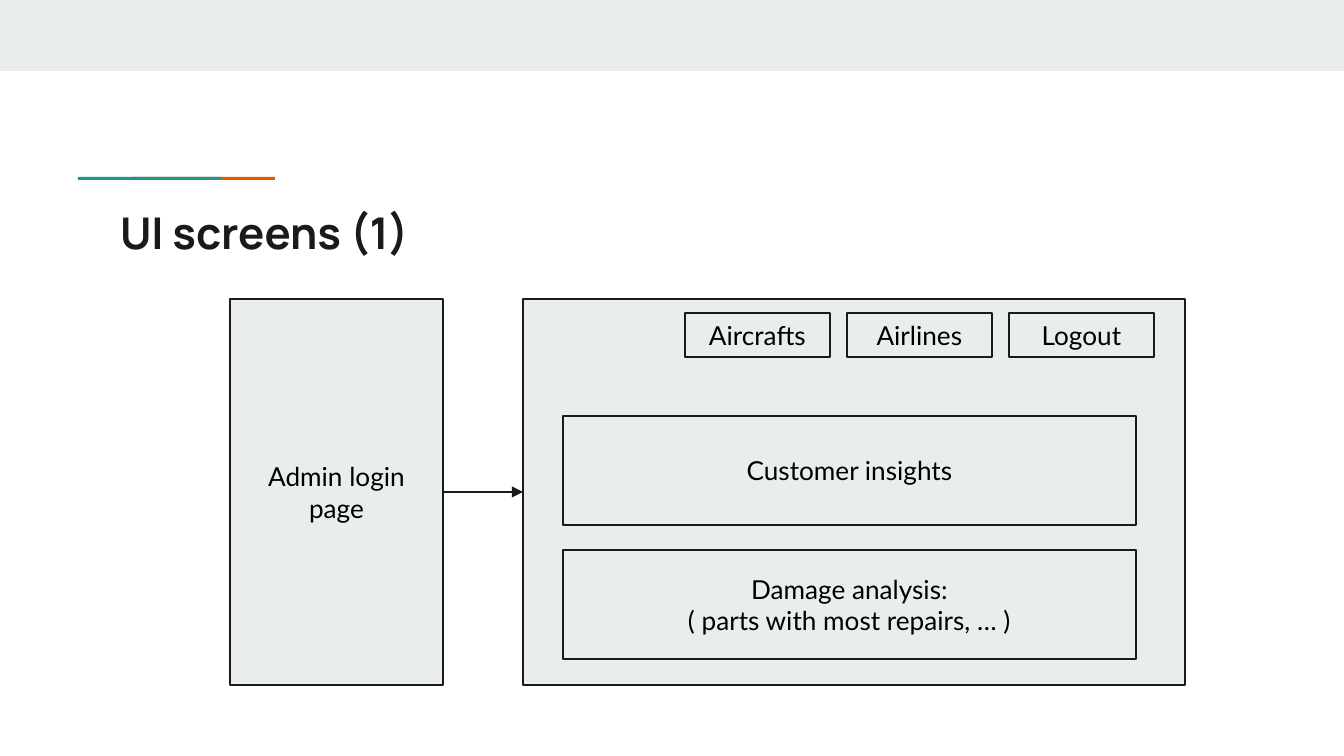
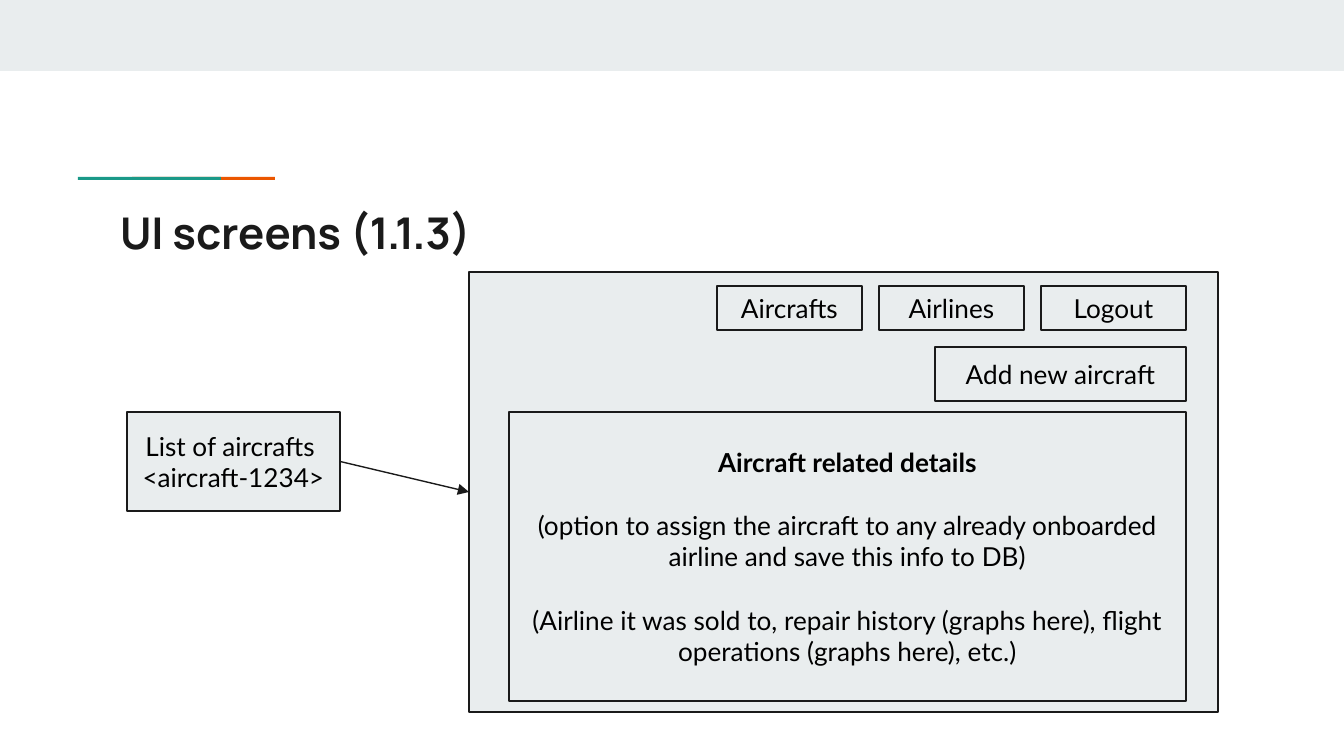
from pptx import Presentation
from pptx import util as u
from pptx.dml.color import RGBColor
from pptx.enum import shapes, text
from pptx.oxml.ns import qn
from lxml import etree

SCALE = 914400 / 134.4
PALE, INK, BLACK = "E9EDEE", "1A1A1A", "000000"
TEAL, ORANGE = "1A9988", "EB5600"
HEAD, BODY = "Manrope", "Lato"
INSET = 13
TABS = ["Aircrafts", "Airlines", "Logout"]


def px(n):
    return u.Emu(round(n * SCALE))


def hue(code):
    return RGBColor.from_string(code)


def style(font, face, size, color, bold=False):
    font.name, font.size, font.bold = face, u.Pt(size), bold
    font.color.rgb = hue(color)


def pad(frame, anchor):
    frame.word_wrap = True
    frame.auto_size = text.MSO_AUTO_SIZE.NONE
    frame.vertical_anchor = anchor
    frame.margin_left = frame.margin_right = px(INSET)
    frame.margin_top = frame.margin_bottom = px(INSET)


def rect(slide, x, y, w, h, fill, line=None):
    shape = slide.shapes.add_shape(
        shapes.MSO_SHAPE.RECTANGLE, px(x), px(y), px(w), px(h))
    shape.shadow.inherit = False
    shape.fill.solid()
    shape.fill.fore_color.rgb = hue(fill)
    if line:
        shape.line.color.rgb = hue(line)
        shape.line.width = u.Pt(0.75)
    else:
        shape.line.fill.background()
    return shape


def box(slide, x, y, w, h, words="", gap=0, lead=False):
    shape = rect(slide, x, y, w, h, PALE, INK)
    if not words:
        return shape
    frame = shape.text_frame
    frame.text = words
    pad(frame, text.MSO_ANCHOR.MIDDLE)
    for i, para in enumerate(frame.paragraphs):
        para.alignment = text.PP_ALIGN.CENTER
        if i and gap:
            para.space_before = u.Pt(gap)
        for run in para.runs:
            style(run.font, BODY, 14, BLACK, lead and i == 0)
    return shape


def arrow(slide, start, end):
    link = slide.shapes.add_connector(
        shapes.MSO_CONNECTOR.STRAIGHT, 0, 0, 0, 0)
    link.begin_connect(start, 3)
    link.end_connect(end, 1)
    link.line.color.rgb = hue(INK)
    link.line.width = u.Pt(0.75)
    props = link._element.spPr
    tail = etree.SubElement(props.find(qn("a:ln")), qn("a:tailEnd"))
    tail.set("type", "triangle")
    etree.SubElement(props, qn("a:effectLst"))


def tabs(slide, x, y):
    for i, name in enumerate(TABS):
        box(slide, x + 162 * i, y, 145, 44, name)


def page(deck, name):
    slide = deck.slides.add_slide(deck.slide_layouts[5])
    rect(slide, 0, 0, 1344, 71, PALE)
    for x, color in [(132, ORANGE), (78, TEAL)]:
        rect(slide, x, 177, 143, 3, color)
    title = slide.shapes.title
    title.left, title.top = px(107), px(193)
    title.width, title.height = px(1130), px(79)
    frame = title.text_frame
    frame.text = name
    pad(frame, text.MSO_ANCHOR.TOP)
    para = frame.paragraphs[0]
    para.alignment = text.PP_ALIGN.LEFT
    style(para.runs[0].font, HEAD, 23.4, INK, True)
    return slide


def login(deck):
    slide = page(deck, "UI screens (1)")
    start = box(slide, 230, 299, 213, 386, "Admin login page")
    home = box(slide, 523, 299, 662, 386)
    tabs(slide, 685, 313)
    cards = ["Customer insights",
             "Damage analysis:\n( parts with most repairs, … )"]
    for i, words in enumerate(cards):
        box(slide, 563, 416 + 134 * i, 573, 109, words)
    arrow(slide, start, home)


def detail(deck):
    slide = page(deck, "UI screens (1.1.3)")
    start = box(slide, 127, 412, 213, 99,
                "List of aircrafts \n<aircraft-1234>")
    view = box(slide, 469, 272, 749, 440)
    tabs(slide, 717, 286)
    box(slide, 509, 412, 677, 289,
        "Aircraft related details\n"
        "(option to assign the aircraft to any already onboarded "
        "airline and save this info to DB)\n"
        "(Airline it was sold to, repair history (graphs here), "
        "flight operations (graphs here), etc.)", 17, True)
    arrow(slide, start, view)
    box(slide, 935, 347, 251, 54, "Add new aircraft")


def main():
    deck = Presentation()
    deck.slide_width, deck.slide_height = px(1344), px(756)
    login(deck)
    detail(deck)
    deck.save("out.pptx")


if __name__ == "__main__":
    main()
